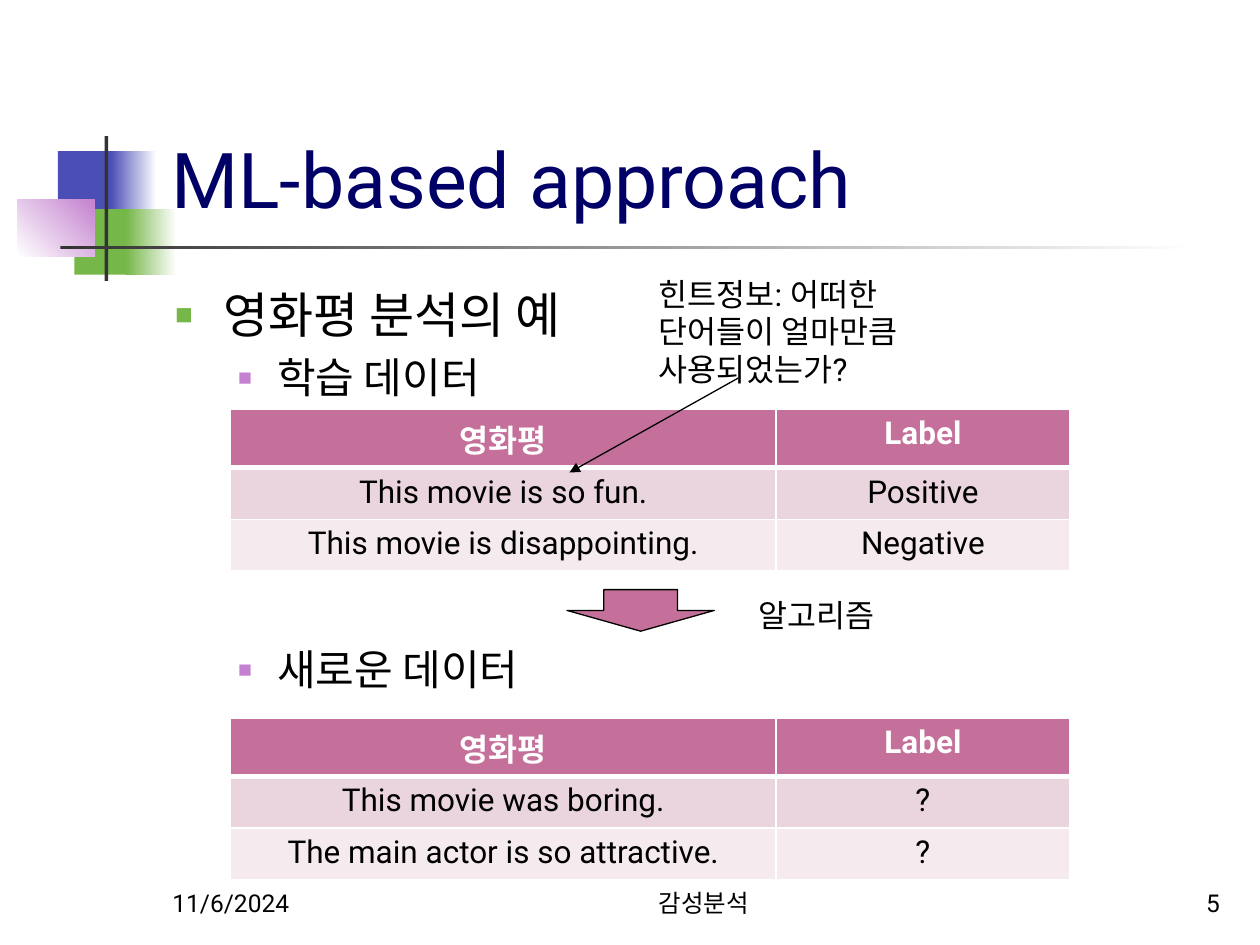
from dataclasses import dataclass

from lxml import etree
from pptx import Presentation
from pptx.dml.color import RGBColor
from pptx.enum.shapes import MSO_CONNECTOR, MSO_SHAPE
from pptx.enum.text import MSO_ANCHOR, MSO_AUTO_SIZE, PP_ALIGN
from pptx.oxml.ns import qn
from pptx.util import Inches, Pt

RECT, DOWN_ARROW = MSO_SHAPE.RECTANGLE, MSO_SHAPE.DOWN_ARROW
LEFT, CENTER, RIGHT = PP_ALIGN.LEFT, PP_ALIGN.CENTER, PP_ALIGN.RIGHT
TOP, BOTTOM = MSO_ANCHOR.TOP, MSO_ANCHOR.BOTTOM
FONT = "Roboto"
BLACK, WHITE, GRAY, NAVY = "000000", "FFFFFF", "333333", "000066"
BLUE, GREEN, PURPLE, ROSE = "4B4EB5", "76B749", "C481CF", "C4709A"
ROW_FILLS = (ROSE, "EAD5DE", "F5EBEF")
COL_WIDTHS = (4.33, 2.33)
ROW_HEIGHT = 0.41


@dataclass
class Block:
    """Decorative rectangle; two colors make a gradient."""
    box: tuple
    colors: tuple
    angle: int = 0


@dataclass
class Bullet:
    text: str
    level: int
    before: float


@dataclass
class Label:
    text: str
    box: tuple
    size: int = 18
    align: PP_ALIGN = LEFT
    anchor: MSO_ANCHOR = TOP
    wrap: bool = True


@dataclass
class ReviewTable:
    top: float
    header_height: float
    rows: tuple


BLOCKS = (
    Block((0.46, 1.2, 0.48, 0.52), (BLUE,)),
    Block((0.88, 1.2, 0.36, 0.52), (BLUE, WHITE)),
    Block((0.59, 1.66, 0.46, 0.52), (GREEN,)),
    Block((1, 1.66, 0.4, 0.52), (GREEN, WHITE)),
    Block((0.14, 1.58, 0.61, 0.46), (WHITE, PURPLE), 45),
    Block((0.83, 1.08, 0.03, 1.15), (GRAY,)),
    Block((0.48, 1.95, 9, 0.03), (GRAY, WHITE)),
)
BULLETS = (
    Bullet("영화평 분석의 예", 0, 5.6),
    Bullet("학습 데이터", 1, 4.8),
    Bullet("새로운 데이터", 1, 138),
)
# size, left margin, indent, bullet color, bullet percent
LEVELS = ((28, 0.38, -0.38, GREEN, 60), (24, 0.81, -0.31, PURPLE, 55))
HEADER = ("영화평", "Label")
TABLES = (
    ReviewTable(3.25, 0.45, (HEADER, ("This movie is so fun.", "Positive"),
                             ("This movie is disappointing.", "Negative"))),
    ReviewTable(5.7, 0.41, (HEADER, ("This movie was boring.", "?"),
                            ("The main actor is so attractive.", "?"))),
)
LABELS = (
    Label("11/6/2024", (1.27, 6.83, 2.08, 0.5), 14, LEFT, BOTTOM),
    Label("감성분석", (4, 6.83, 3.17, 0.5), 14, CENTER, BOTTOM),
    Label("5", (7.7, 6.83, 2.08, 0.5), 14, RIGHT, BOTTOM),
    Label("알고리즘", (5.92, 4.68, 1.21, 0.4), wrap=False),
    Label("힌트정보: 어떠한 단어들이 얼마만큼 사용되었는가?", (5.13, 2.13, 2.7, 1.01)),
)


def rgb(value: str) -> RGBColor:
    return RGBColor.from_string(value)


def inches(box: tuple) -> list:
    return [Inches(v) for v in box]


def write(p, text: str, size=18, color=BLACK, bold=False, align=LEFT) -> None:
    p.alignment = align
    r = p.add_run()
    r.text = text
    r.font.name = FONT
    r.font.size = Pt(size)
    r.font.bold = bold
    r.font.color.rgb = rgb(color)


def place(sp, box: tuple) -> None:
    sp.left, sp.top, sp.width, sp.height = inches(box)


def add_block(s, block: Block) -> None:
    sp = s.shapes.add_shape(RECT, *inches(block.box))
    sp.shadow.inherit = False
    sp.line.fill.background()
    if len(block.colors) == 1:
        sp.fill.solid()
        sp.fill.fore_color.rgb = rgb(block.colors[0])
        return
    sp.fill.gradient()
    sp.fill.gradient_angle = block.angle
    for stop, color in zip(sp.fill.gradient_stops, block.colors):
        stop.color.rgb = rgb(color)


def add_bullet(p, bullet: Bullet) -> None:
    size, margin, indent, color, percent = LEVELS[bullet.level]
    p.level = bullet.level
    p.space_before = Pt(bullet.before)
    write(p, bullet.text, size)
    pPr = p._p.get_or_add_pPr()
    pPr.set("marL", str(Inches(margin)))
    pPr.set("indent", str(Inches(indent)))
    clr = etree.SubElement(pPr, qn("a:buClr"))
    etree.SubElement(clr, qn("a:srgbClr"), val=color)
    etree.SubElement(pPr, qn("a:buSzPct"), val=str(percent * 1000))
    etree.SubElement(pPr, qn("a:buChar"), char="■")


def add_label(s, label: Label) -> None:
    tf = s.shapes.add_textbox(*inches(label.box)).text_frame
    tf.word_wrap = label.wrap
    tf.vertical_anchor = label.anchor
    write(tf.paragraphs[0], label.text, label.size, align=label.align)


def set_borders(cell, row: int) -> None:
    """White borders, thicker between the header and the first row."""
    widths = {"L": 1, "R": 1, "T": 3 if row == 1 else 1, "B": 3 if row == 0 else 1}
    tcPr = cell._tc.get_or_add_tcPr()
    for side, width in widths.items():
        ln = etree.SubElement(tcPr, qn(f"a:ln{side}"), w=str(Pt(width)))
        fill = etree.SubElement(ln, qn("a:solidFill"))
        etree.SubElement(fill, qn("a:srgbClr"), val=WHITE)


def add_review_table(s, spec_: ReviewTable) -> None:
    heights = (spec_.header_height, ROW_HEIGHT, ROW_HEIGHT)
    box = (1.83, spec_.top, sum(COL_WIDTHS), sum(heights))
    table = s.shapes.add_table(3, 2, *inches(box)).table
    for col, width in zip(table.columns, COL_WIDTHS):
        col.width = Inches(width)
    for i, values in enumerate(spec_.rows):
        table.rows[i].height = Inches(heights[i])
        for j, text in enumerate(values):
            cell = table.cell(i, j)
            set_borders(cell, i)
            cell.fill.solid()
            cell.fill.fore_color.rgb = rgb(ROW_FILLS[i])
            write(cell.text_frame.paragraphs[0], text, bold=i == 0,
                  color=BLACK if i else WHITE, align=CENTER)


def add_arrow(s, start: tuple, end: tuple) -> None:
    line = s.shapes.add_connector(MSO_CONNECTOR.STRAIGHT, *inches(start + end))
    line.line.color.rgb = rgb(BLACK)
    line.line.width = Pt(0.75)
    etree.SubElement(line.line._get_or_add_ln(), qn("a:tailEnd"), type="triangle")
    etree.SubElement(line._element.spPr, qn("a:effectLst"))


def main() -> None:
    prs = Presentation()
    prs.slide_width, prs.slide_height = Inches(10), Inches(7.5)
    s = prs.slides.add_slide(prs.slide_layouts[1])

    for block in BLOCKS:
        add_block(s, block)

    title, body = s.placeholders
    place(title, (1.26, 0.23, 8.52, 1.6))
    title.text_frame.vertical_anchor = BOTTOM
    title.text_frame.auto_size = MSO_AUTO_SIZE.NONE
    write(title.text_frame.paragraphs[0], "ML-based approach", 44, NAVY)

    place(body, (1.29, 2.21, 8.5, 4.5))
    tf = body.text_frame
    tf.auto_size = MSO_AUTO_SIZE.NONE
    for i, bullet in enumerate(BULLETS):
        add_bullet(tf.add_paragraph() if i else tf.paragraphs[0], bullet)

    for table in TABLES:
        add_review_table(s, table)

    down = s.shapes.add_shape(DOWN_ARROW, *inches((4.5, 4.68, 1.17, 0.33)))
    down.shadow.inherit = False
    down.fill.solid()
    down.fill.fore_color.rgb = rgb(ROSE)
    down.line.color.rgb = rgb(BLACK)
    down.line.width = Pt(0.75)

    for label in LABELS:
        add_label(s, label)
    add_arrow(s, (5.86, 3), (4.52, 3.75))
    prs.save("out.pptx")


if __name__ == "__main__":
    main()
